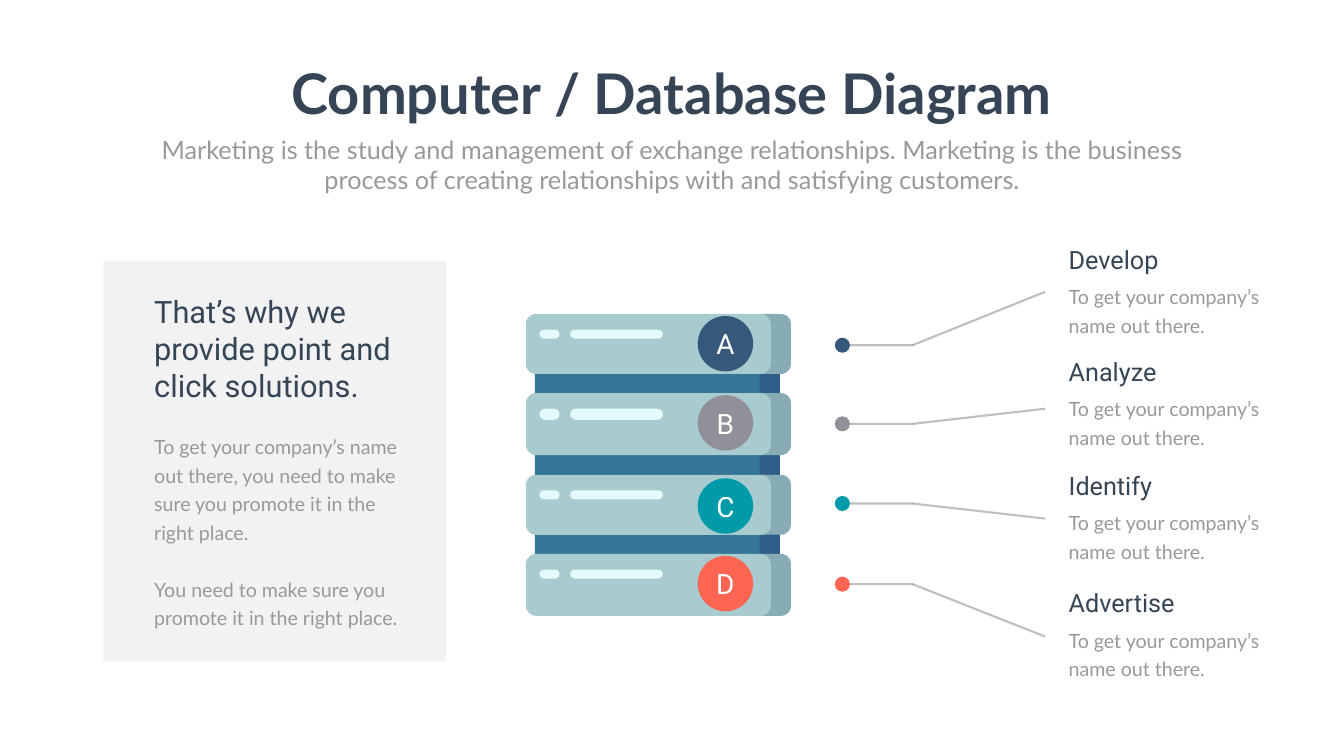
import pptx
import pptx.util
import pptx.dml.color
import pptx.enum.shapes
import pptx.enum.text
import pptx.oxml.ns
import lxml.etree
from pptx.util import Inches

RGBColor = pptx.dml.color.RGBColor
Kind = pptx.enum.shapes.MSO_SHAPE
Align = pptx.enum.text.PP_ALIGN
name = pptx.oxml.ns.qn

INK = RGBColor(0x36, 0x45, 0x56)
GREY = RGBColor(0x99, 0x99, 0x99)
PANEL = RGBColor(0xF2, 0xF2, 0xF2)
WHITE = RGBColor(0xFF, 0xFF, 0xFF)
LINE = RGBColor(0x80, 0x80, 0x80)
POST = RGBColor(0x36, 0x75, 0x96)
SHADE = RGBColor(0x2F, 0x5E, 0x88)
FRONT = RGBColor(0xA7, 0xCB, 0xCF)
SIDE = RGBColor(0x88, 0xAC, 0xB5)
SLOT = RGBColor(0xE5, 0xFA, 0xFC)
NAVY = RGBColor(0x36, 0x59, 0x7B)
STONE = RGBColor(0x91, 0x90, 0x98)
TEAL = RGBColor(0x00, 0x9A, 0xA8)
CORAL = RGBColor(0xFE, 0x66, 0x53)

deck = pptx.Presentation()
deck.slide_width, deck.slide_height = Inches(26.66), Inches(15)
slide = deck.slides.add_slide(deck.slide_layouts[6])


def block(kind, x, y, w, h, color, round=None):
    shape = slide.shapes.add_shape(kind, Inches(x), Inches(y), Inches(w), Inches(h))
    shape.shadow.inherit = False
    shape.fill.solid()
    shape.fill.fore_color.rgb = color
    shape.line.fill.background()
    if round is not None:
        shape.adjustments[0] = round
    return shape


def write(frame, texts, font, size, color, align=Align.LEFT, lead=None, bold=False):
    frame.word_wrap = True
    for i, text in enumerate(texts):
        para = frame.paragraphs[0] if i == 0 else frame.add_paragraph()
        para.alignment = align
        if lead:
            para.line_spacing = pptx.util.Pt(lead)
            if i:
                para.space_before = pptx.util.Pt(lead)
        run = para.add_run()
        run.text = text
        run.font.name = font
        run.font.size = pptx.util.Pt(size)
        run.font.bold = bold
        run.font.color.rgb = color


# Text boxes: place, paragraphs, style
boxes = [
    ((5.6, 1.12, 15.45, 1.45), ["Computer / Database Diagram"],
     ("Lato", 80, INK, Align.CENTER, None, True)),
    ((2.92, 2.61, 20.82, 1.31),
     ["Marketing is the study and management of exchange relationships. "
      "Marketing is the business process of creating relationships with "
      "and satisfying customers."],
     ("Lato", 36, GREY, Align.CENTER)),
    ((2.96, 5.76, 5.35, 2.32), ["That’s why we provide point and click solutions."],
     ("Roboto", 44, INK)),
    ((2.96, 8.48, 5.1, 4.07),
     ["To get your company’s name out there, you need to make sure you "
      "promote it in the right place.",
      "You need to make sure you promote it in the right place."],
     ("Lato", 28, GREY, Align.LEFT, 40.8)),
]

# Left panel
block(Kind.RECTANGLE, 2.05, 5.18, 6.8, 7.95, PANEL)

# Posts behind the server units
block(Kind.RECTANGLE, 14.81, 7.15, 0.66, 4.11, SHADE)
block(Kind.RECTANGLE, 10.61, 7.15, 4.46, 4.11, POST)

# Letter, label, colour; unit top and height, slot height, badge top,
# dot centre, line end, label top
rows = [
    ("A", "Develop", NAVY, 6.23, 1.19, 0.18, 6.27, 6.85, 5.79, 4.8),
    ("B", "Analyze", STONE, 7.8, 1.23, 0.22, 7.84, 8.41, 8.11, 7.02),
    ("C", "Identify", TEAL, 9.42, 1.19, 0.18, 9.49, 9.99, 10.29, 9.28),
    ("D", "Advertise", CORAL, 10.99, 1.23, 0.18, 11.03, 11.59, 12.63, 11.61),
]

for letter, label, color, top, high, slot, badge, dot, end, head in rows:
    # Server unit: the side is turned so that its rounded edge faces right
    side = block(Kind.ROUND_2_SAME_RECTANGLE, 15.385 - high / 2,
                 top + high / 2 - 0.305, high, 0.61, SIDE, 0.33)
    side.rotation = 90
    block(Kind.ROUNDED_RECTANGLE, 10.43, top, 4.86, high, FRONT, 0.17)
    for x, wide in ((11.31, 1.84), (10.7, 0.4)):
        block(Kind.ROUNDED_RECTANGLE, x, top + 0.31, wide, slot, SLOT, 0.5)

    # Letter badge
    disc = block(Kind.OVAL, 13.84, badge, 1.1, 1.1, color)
    frame = disc.text_frame
    frame.margin_left = frame.margin_right = 0
    frame.margin_top = frame.margin_bottom = 0
    frame.vertical_anchor = pptx.enum.text.MSO_ANCHOR.MIDDLE
    write(frame, [letter], "Roboto", 40, WHITE, Align.CENTER)

    # Leader line and dot
    for x1, y1, x2, y2 in ((18.1, dot, 20.73, end), (16.64, dot, 18.12, dot)):
        line = slide.shapes.add_connector(
            pptx.enum.shapes.MSO_CONNECTOR.STRAIGHT,
            Inches(x1), Inches(y1), Inches(x2), Inches(y2))
        line.line.width = pptx.util.Pt(3)
        line.line.color.rgb = LINE
        props = line._element.spPr
        tint = props.find(".//" + name("a:srgbClr"))
        lxml.etree.SubElement(tint, name("a:alpha"), val="50000")
        lxml.etree.SubElement(props, name("a:effectLst"))
    block(Kind.OVAL, 16.56, dot - 0.15, 0.3, 0.3, color)

    # Label and its note
    boxes.append(((21.1, head, 4.09, 0.71), [label], ("Roboto", 36, INK)))
    boxes.append(((21.1, head + 0.71, 4.09, 1.19),
                  ["To get your company’s name out there."],
                  ("Lato", 28, GREY, Align.LEFT, 40.8)))

# All text boxes
for place, texts, style in boxes:
    box = slide.shapes.add_textbox(*[Inches(n) for n in place])
    write(box.text_frame, texts, *style)

deck.save("out.pptx")
